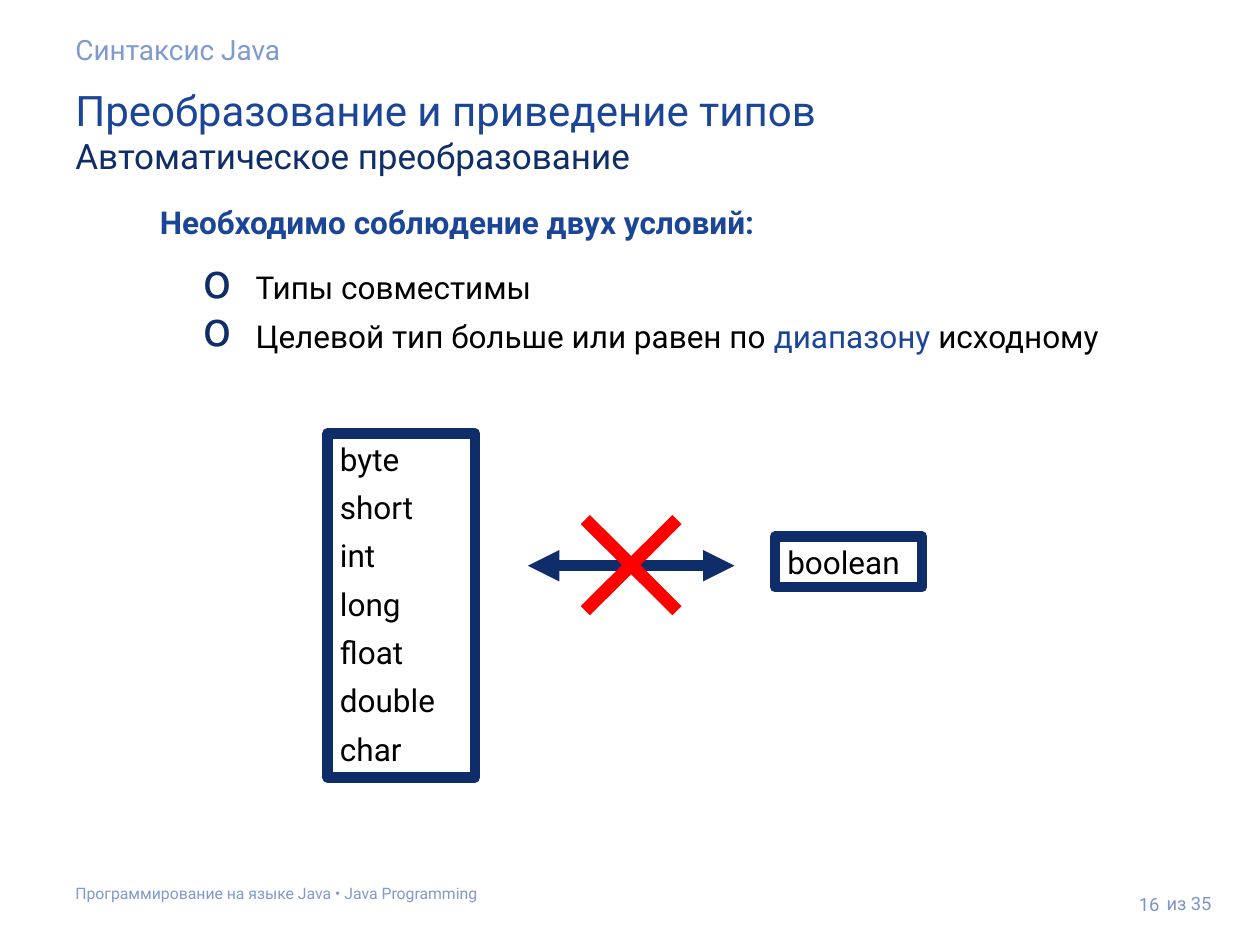
"""Build a slide on automatic type conversion in Java."""
from dataclasses import dataclass, field

import pptx
import pptx.dml.color
import pptx.enum.shapes
import pptx.enum.text
import pptx.oxml
import pptx.oxml.ns
import pptx.util

Inches = pptx.util.Inches
Pt = pptx.util.Pt
Auto = pptx.enum.text.MSO_AUTO_SIZE
Anchor = pptx.enum.text.MSO_ANCHOR
Align = pptx.enum.text.PP_ALIGN
Form = pptx.enum.shapes.MSO_SHAPE

NAVY, BLUE, PALE, GREY = "0F2D69", "1B4597", "7F9ACF", "7D95C4"
BLACK, RED = "000000", "FF0000"


@dataclass
class Run:
    text: str
    size: float = 18
    color: str = BLACK
    bold: bool = False


@dataclass
class Box:
    left: float
    top: float
    width: float
    height: float
    lines: list[list[Run]]
    inset: float = 0.05
    framed: bool = False
    bullet: bool = False
    form: dict = field(default_factory=dict)
    frame: dict = field(default_factory=dict)


def paint(color, code: str) -> None:
    color.rgb = pptx.dml.color.RGBColor.from_string(code)


def apply(target, values: dict) -> None:
    for name, value in values.items():
        setattr(target, name, value)


def node(tag: str, inner: str = "", **attrs):
    text = "".join(f' {key}="{value}"' for key, value in attrs.items())
    space = pptx.oxml.ns.nsdecls("a")
    return pptx.oxml.parse_xml(f"<a:{tag} {space}{text}>{inner}</a:{tag}>")


def mark(para) -> None:
    props = para._p.get_or_add_pPr()
    props.set("marL", str(Inches(0.42)))
    props.set("indent", str(-Inches(0.42)))
    props.append(node("buClr", f'<a:srgbClr val="{NAVY}"/>'))
    props.append(node("buSzPct", val=150000))
    props.append(node("buChar", char="o"))


def outline(line) -> None:
    paint(line.color, NAVY)
    line.width = Pt(6)


def draw(slide, box: Box) -> None:
    area = [Inches(n) for n in (box.left, box.top, box.width, box.height)]
    if box.framed:
        shape = slide.shapes.add_shape(Form.RECTANGLE, *area)
        shape.shadow.inherit = False
        shape.fill.background()
        outline(shape.line)
    else:
        shape = slide.shapes.add_textbox(*area)
    base = {
        "word_wrap": True,
        "auto_size": Auto.SHAPE_TO_FIT_TEXT,
        "vertical_anchor": Anchor.TOP,
        "margin_top": Inches(box.inset),
        "margin_bottom": Inches(box.inset),
    }
    text = shape.text_frame
    apply(text, base | box.frame)
    for index, runs in enumerate(box.lines):
        para = text.add_paragraph() if index else text.paragraphs[0]
        apply(para, {"alignment": Align.LEFT} | box.form)
        if box.bullet:
            mark(para)
        for run in runs:
            part = para.add_run()
            part.text = run.text
            style = {"name": "Roboto", "size": Pt(run.size), "bold": run.bold}
            apply(part.font, style)
            paint(part.font.color, run.color)


def arrow(slide, left: float, right: float, top: float) -> None:
    kind = pptx.enum.shapes.MSO_CONNECTOR.STRAIGHT
    ends = [Inches(n) for n in (left, top, right, top)]
    link = slide.shapes.add_connector(kind, *ends)
    outline(link.line)
    for tag in ("headEnd", "tailEnd"):
        link.line._get_or_add_ln().append(node(tag, type="triangle"))
    link._element.spPr.append(node("effectLst"))


def cross(slide, left: float, top: float, width: float, height: float) -> None:
    area = [Inches(n) for n in (left, top, width, height)]
    shape = slide.shapes.add_shape(Form.MATH_MULTIPLY, *area)
    shape.adjustments[0] = 0.074
    shape.shadow.inherit = False
    shape.fill.solid()
    paint(shape.fill.fore_color, RED)
    shape.line.fill.background()


def main() -> None:
    deck = pptx.Presentation()
    deck.slide_width, deck.slide_height = Inches(10), Inches(7.5)
    slide = deck.slides.add_slide(deck.slide_layouts[6])

    gap = {"space_after": Pt(6)}
    fixed = {"auto_size": Auto.NONE, "vertical_anchor": Anchor.MIDDLE}
    types = "byte short int long float double char".split()
    rules = [
        [Run("Типы совместимы")],
        [Run("Целевой тип больше или равен по "),
         Run("диапазону ", color=BLUE), Run("исходному")],
    ]
    title = [
        [Run("Преобразование и приведение типов", 24, BLUE)],
        [Run("Автоматическое преобразование", 20, NAVY)],
    ]
    course = "Программирование на языке Java • Java Programming"
    need = Run("Необходимо соблюдение двух условий:", color=BLUE, bold=True)
    boxes = [
        Box(0.5, 0.16, 9.19, 0.47, [[Run("Синтаксис Java", 16, PALE)]], 0.1),
        Box(0.5, 0.57, 9.19, 0.94, title, 0.1),
        Box(1.17, 1.56, 6.95, 0.71, [[need]]),
        Box(1.51, 2.08, 7.4, 0.79, rules, bullet=True, form=gap),
        Box(2.6, 3.44, 1.17, 2.73, [[Run(name)] for name in types],
            framed=True, form=gap),
        Box(6.15, 4.26, 1.17, 0.4, [[Run("boolean")]], framed=True, form=gap),
        Box(0.5, 6.94, 9, 0.35, [[Run(course, 9, PALE)]], 0.1),
        Box(9.16, 6.97, 0.69, 0.4, [[Run("из 35", 10.5, GREY)]], frame=fixed),
        Box(8.7, 6.89, 0.6, 0.57, [[Run("16", 10.5, GREY)]], 0.1,
            form={"alignment": Align.RIGHT}, frame=fixed),
    ]
    for box in boxes:
        draw(slide, box)
    arrow(slide, 4.19, 5.83, 4.49)
    cross(slide, 4.31, 3.79, 1.4, 1.39)
    deck.save("out.pptx")


if __name__ == "__main__":
    main()
